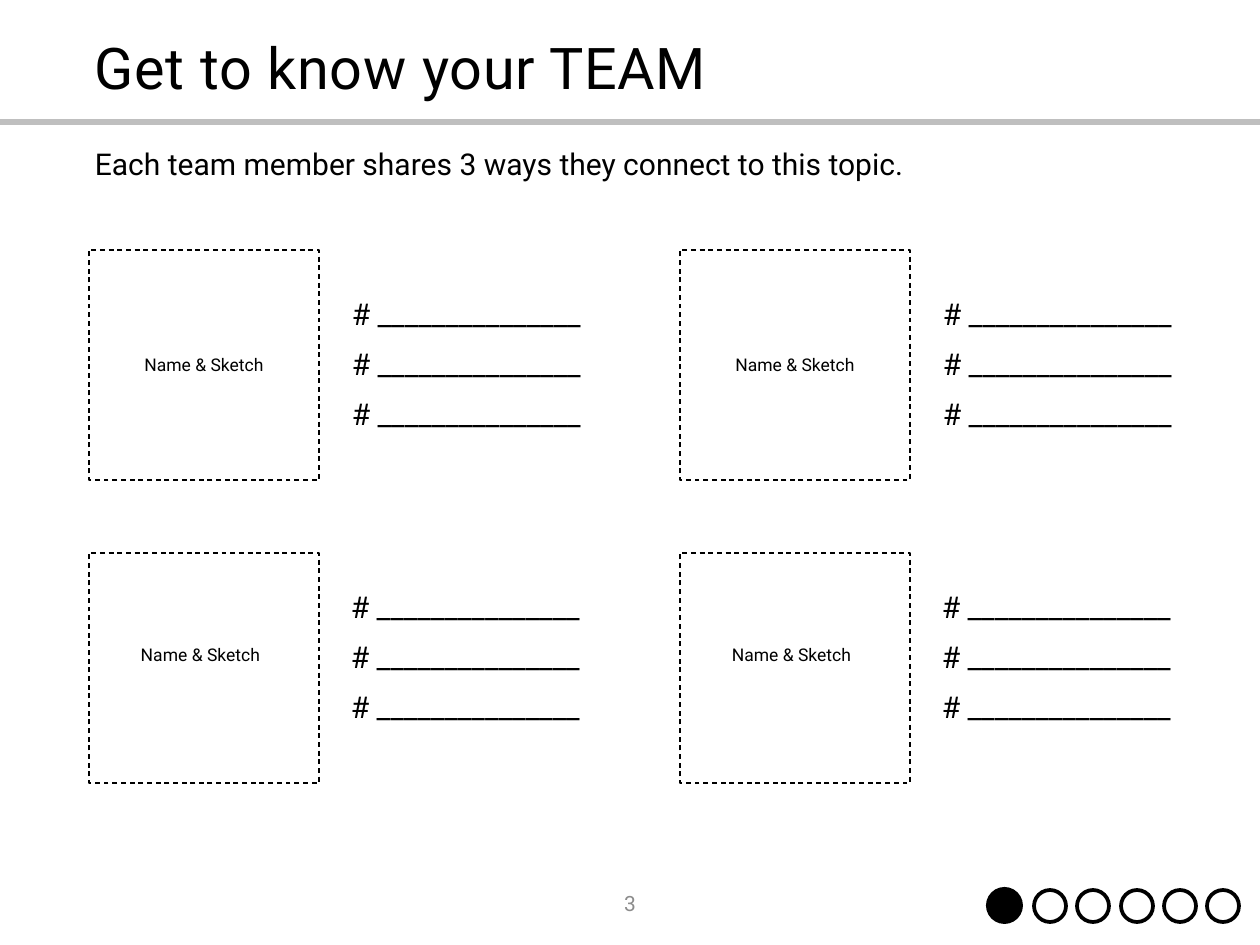
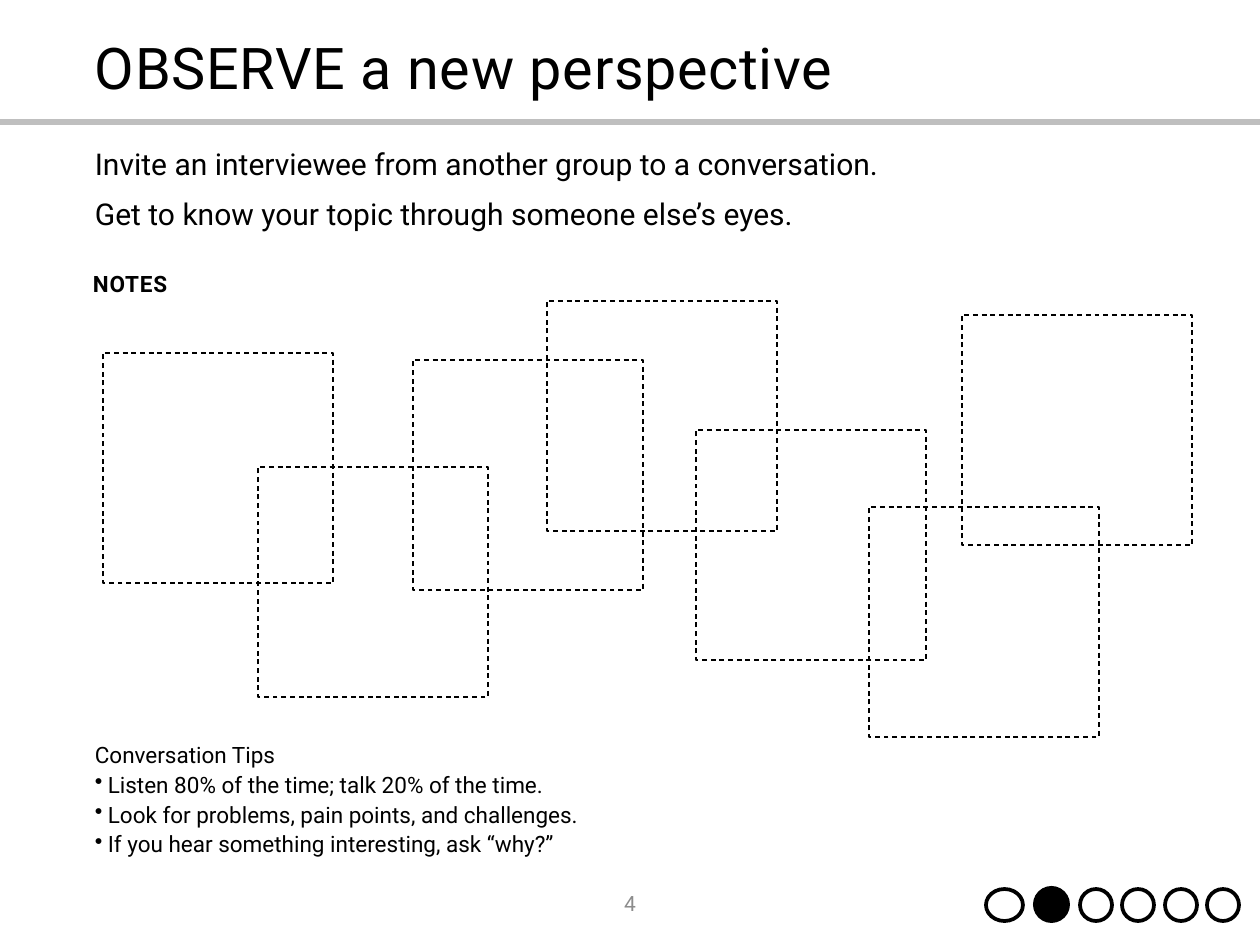
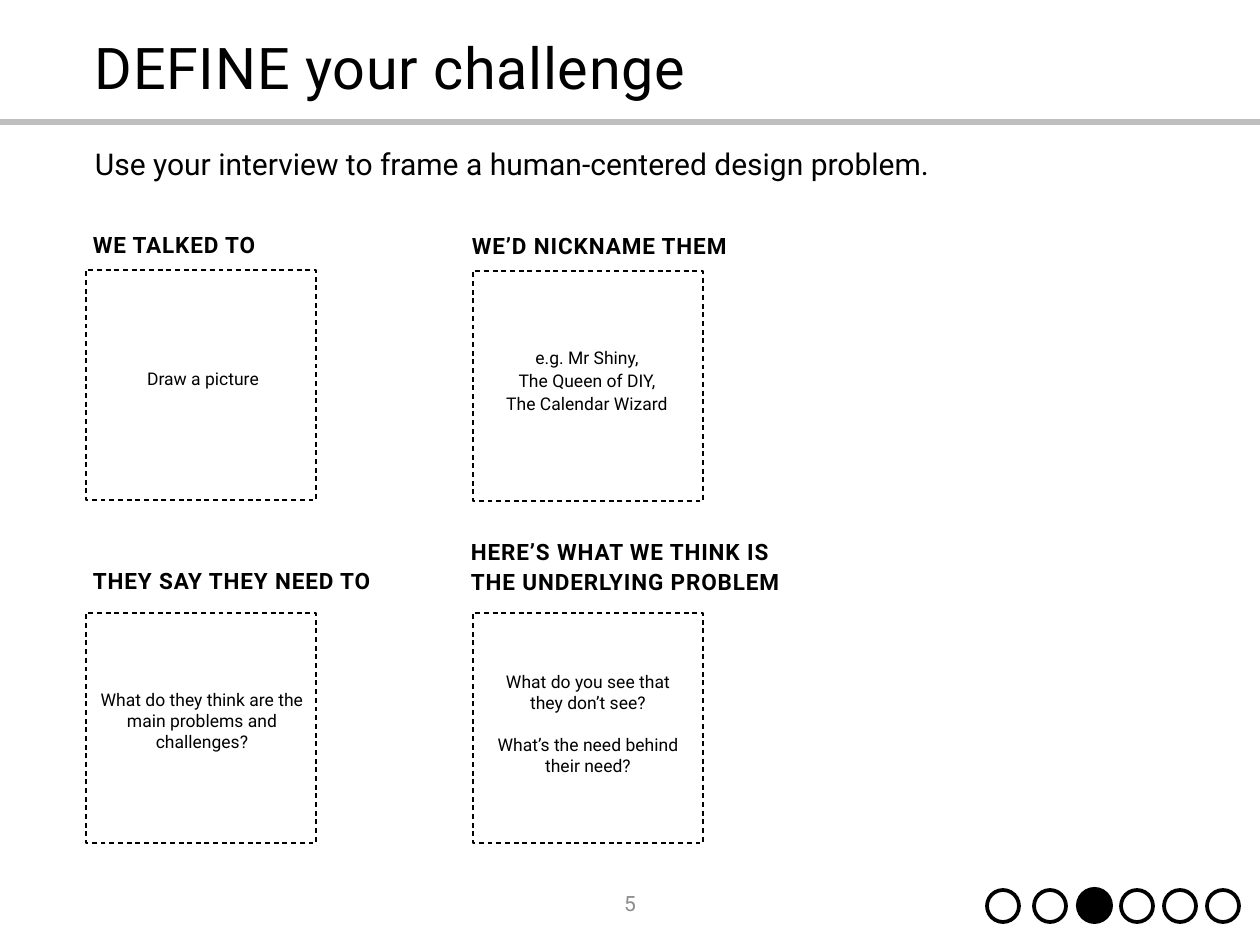
import pptx
import pptx.dml.color
import pptx.enum.dml
import pptx.enum.shapes
import pptx.enum.text
import pptx.oxml.ns
import pptx.util
from lxml import etree

Pt = pptx.util.Pt
Align = pptx.enum.text.PP_ALIGN
Anchor = pptx.enum.text.MSO_ANCHOR
Shape = pptx.enum.shapes.MSO_SHAPE

PIXEL = 10160
SLIDE_SIZE = (1260, 945)
FONT = "Roboto"
COLORS = {"ink": "000000", "paper": "FFFFFF", "rule": "BFBFBF", "number": "8C8C8C"}

STYLES = {
    "title": {"font": {"size": Pt(46)}, "paragraph": {"line_spacing": 0.9},
              "tracking": 60, "anchor": Anchor.MIDDLE},
    "body": {"font": {"size": Pt(24)}, "paragraph": {"line_spacing": 0.9},
             "following": {"space_before": Pt(14)}},
    "number": {"font": {"size": Pt(16.8)}, "paragraph": {"alignment": Align.CENTER},
               "color": "number", "anchor": Anchor.MIDDLE},
    "heading": {"font": {"size": Pt(18), "bold": True}, "tracking": 70},
    "tall heading": {"font": {"size": Pt(18), "bold": True}, "tracking": 70,
                     "paragraph": {"line_spacing": 1.1}},
    "tips": {"font": {"size": Pt(18)}, "paragraph": {"line_spacing": 1.1}, "bullet": "•"},
    "prompt": {"font": {"size": Pt(14)}, "paragraph": {"alignment": Align.CENTER}},
    "tall prompt": {"font": {"size": Pt(14)},
                    "paragraph": {"alignment": Align.CENTER, "line_spacing": 1.1}},
}

TITLE_BOX = (86, 14, 1086, 113)
NUMBER_BOX = (488, 878, 284, 50)
RULE_ENDS = (-20, 1330)
RULE_TOP = 122
CARD = 230
BULLET_INDENT = 13
DOT, ACTIVE_DOT = 32, 37

MEMBER_COLUMNS = (89, 680)
MEMBER_ROWS = (
    {"card": 250, "label": (0, 350, 230, 31), "ways": (254, 295, 288, 157)},
    {"card": 553, "label": (-15, 640, 253, 37), "ways": (253, 588, 288, 157)},
)
MEMBER_LABEL = "Name & Sketch"
MEMBER_WAYS = ["# _______________"] * 3

SLIDES = [
    {
        "title": "Get to know your TEAM",
        "number": 3,
        "body": ["Each team member shares 3 ways they connect to this topic."],
        "body_height": 157,
        "dots": {"lefts": (986, 1034, 1077, 1121, 1164, 1207), "top": 890, "active": 0},
        "cards": [(left, row["card"]) for row in MEMBER_ROWS for left in MEMBER_COLUMNS],
        "texts": [
            (style, (left + row[part][0], *row[part][1:]), lines)
            for row in MEMBER_ROWS
            for left in MEMBER_COLUMNS
            for part, style, lines in (("label", "prompt", [MEMBER_LABEL]),
                                       ("ways", "body", MEMBER_WAYS))
        ],
    },
    {
        "title": "OBSERVE a new perspective",
        "number": 4,
        "body": ["Invite an interviewee from another group to a conversation.",
                 "Get to know your topic through someone else’s eyes."],
        "body_height": 157,
        "dots": {"lefts": (986, 1033, 1080, 1122, 1165, 1207), "top": 889, "active": 1,
                 "first_width": 37},
        "cards": [(103, 353), (258, 467), (547, 301), (869, 507),
                  (962, 315), (413, 360), (696, 430)],
        "texts": [
            ("heading", (84, 266, 101, 36), ["NOTES"]),
            ("tips", (86, 734, 587, 129), [
                "Conversation Tips",
                "Listen 80% of the time; talk 20% of the time.",
                "Look for problems, pain points, and challenges.",
                "If you hear something interesting, ask “why?”",
            ]),
        ],
    },
    {
        "title": "DEFINE your challenge",
        "number": 5,
        "body": ["Use your interview to frame a human-centered design problem."],
        "body_height": 83,
        "dots": {"lefts": (987, 1034, 1076, 1121, 1164, 1207), "top": 890, "active": 2},
        "cards": [(86, 270), (473, 271), (86, 613), (473, 613)],
        "texts": [
            ("heading", (84, 227, 207, 36), ["WE TALKED TO"]),
            ("heading", (463, 228, 303, 36), ["WE’D NICKNAME THEM"]),
            ("heading", (84, 563, 322, 36), ["THEY SAY THEY NEED TO"]),
            ("tall heading", (462, 531, 711, 69),
             ["HERE’S WHAT WE THINK IS", "THE UNDERLYING PROBLEM"]),
            ("prompt", (88, 364, 230, 31), ["Draw a picture"]),
            ("tall prompt", (472, 340, 230, 78),
             ["e.g. Mr Shiny,", "The Queen of DIY,", "The Calendar Wizard"]),
            ("prompt", (87, 685, 230, 73),
             ["What do they think are the main problems and challenges?"]),
            ("prompt", (473, 667, 230, 115), [
                "What do you see that",
                "they don’t see?",
                ("What’s the need behind their need?", {"space_before": Pt(16.4)}),
            ]),
        ],
    },
]


def px(*lengths):
    return [pptx.util.Emu(length * PIXEL) for length in lengths]


def rgb(name):
    return pptx.dml.color.RGBColor.from_string(COLORS[name])


def set_values(target, values):
    for name, value in values.items():
        setattr(target, name, value)


def add_bullet(paragraph, character):
    properties = paragraph._p.get_or_add_pPr()
    indent = px(BULLET_INDENT)[0]
    properties.set("marL", str(indent))
    properties.set("indent", str(-indent))
    bullet = etree.SubElement(properties, pptx.oxml.ns.qn("a:buChar"))
    bullet.set("char", character)


def add_text(slide, style_name, box, lines):
    style = STYLES[style_name]
    frame = slide.shapes.add_textbox(*px(*box)).text_frame
    frame.word_wrap = True
    frame.vertical_anchor = style.get("anchor", Anchor.TOP)
    for index, line in enumerate(lines):
        text, extra = (line, {}) if isinstance(line, str) else line
        paragraph = frame.add_paragraph() if index else frame.paragraphs[0]
        if index and "bullet" in style:
            add_bullet(paragraph, style["bullet"])
        following = style.get("following", {}) if index else {}
        set_values(paragraph, {**style.get("paragraph", {}), **following, **extra})
        run = paragraph.add_run()
        run.text = text
        set_values(run.font, {"name": FONT, **style["font"]})
        run.font.color.rgb = rgb(style.get("color", "ink"))
        if "tracking" in style:
            run._r.get_or_add_rPr().set("spc", str(style["tracking"]))


def add_outline(slide, kind, box, fill=None, line=None):
    shape = slide.shapes.add_shape(kind, *px(*box))
    shape.shadow.inherit = False
    if fill:
        shape.fill.solid()
        shape.fill.fore_color.rgb = rgb(fill)
    else:
        shape.fill.background()
    if line:
        shape.line.color.rgb = rgb("ink")
        set_values(shape.line, line)
    else:
        shape.line.fill.background()


def add_rule(slide):
    start, end = RULE_ENDS
    rule = slide.shapes.add_connector(
        pptx.enum.shapes.MSO_CONNECTOR.STRAIGHT, *px(start, RULE_TOP, end, RULE_TOP))
    rule.line.color.rgb = rgb("rule")
    rule.line.width = Pt(5.25)
    etree.SubElement(rule._element.spPr, pptx.oxml.ns.qn("a:effectLst"))


def add_dots(slide, lefts, top, active, first_width=DOT):
    for index, left in enumerate(lefts):
        if index == active:
            box = (left, top - 3, ACTIVE_DOT, ACTIVE_DOT)
            add_outline(slide, Shape.OVAL, box, fill="ink")
        else:
            box = (left, top, DOT if index else first_width, DOT)
            add_outline(slide, Shape.OVAL, box, fill="paper", line={"width": Pt(3)})


def add_slide(presentation, content):
    slide = presentation.slides.add_slide(presentation.slide_layouts[6])
    add_rule(slide)
    add_text(slide, "title", TITLE_BOX, [content["title"]])
    add_text(slide, "number", NUMBER_BOX, [str(content["number"])])
    add_text(slide, "body", (86, 145, 1086, content["body_height"]), content["body"])
    dashed = {"width": Pt(1), "dash_style": pptx.enum.dml.MSO_LINE.DASH}
    for left, top in content["cards"]:
        add_outline(slide, Shape.RECTANGLE, (left, top, CARD, CARD), line=dashed)
    for style_name, box, lines in content["texts"]:
        add_text(slide, style_name, box, lines)
    add_dots(slide, **content["dots"])


def main():
    presentation = pptx.Presentation()
    presentation.slide_width, presentation.slide_height = px(*SLIDE_SIZE)
    for content in SLIDES:
        add_slide(presentation, content)
    presentation.save("out.pptx")


if __name__ == "__main__":
    main()
